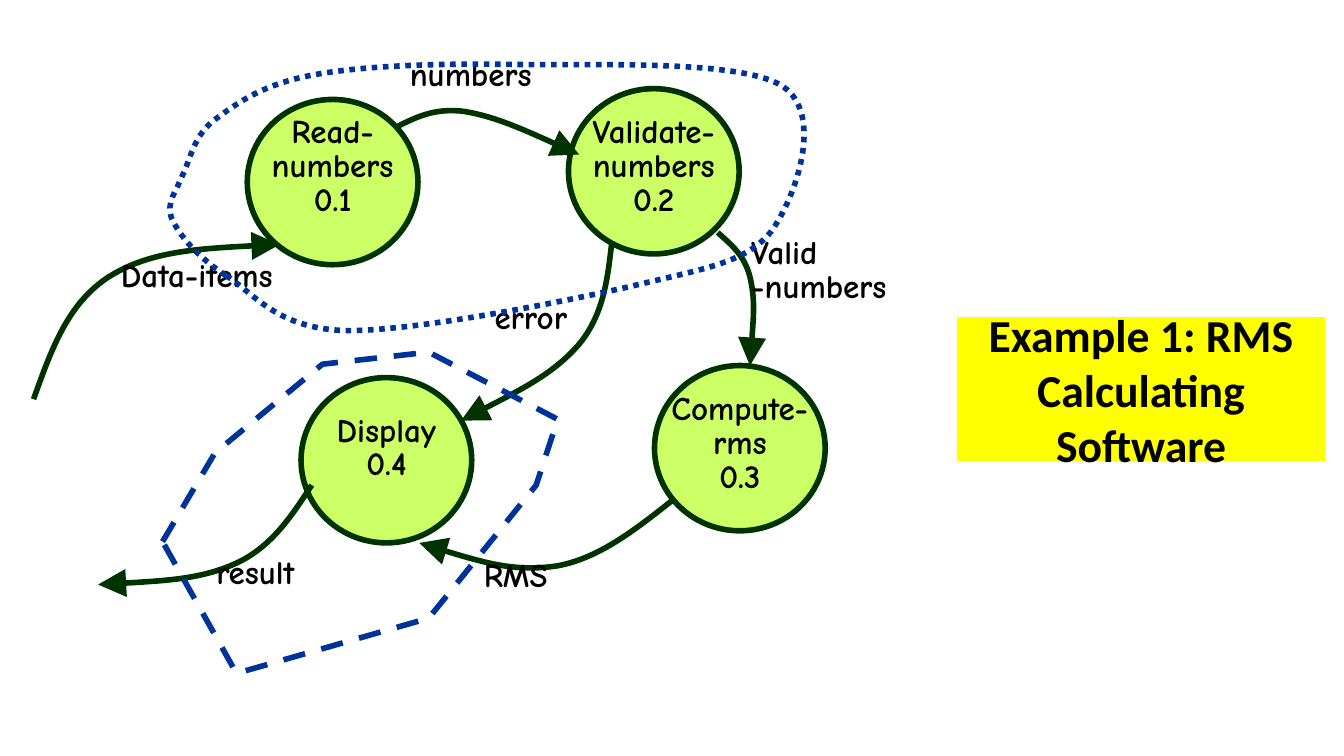
from dataclasses import dataclass

from lxml import etree
from pptx import Presentation
from pptx import util as u
from pptx.dml.color import RGBColor
from pptx.enum import dml, shapes, text
from pptx.oxml import ns

LIME = RGBColor(0xCC, 0xFF, 0x66)
DARK_GREEN = RGBColor(0x00, 0x33, 0x00)
BLUE = RGBColor(0x00, 0x33, 0x99)
YELLOW = RGBColor(0xFF, 0xFF, 0x00)
BLACK = RGBColor(0x00, 0x00, 0x00)

LABEL_FONT = "Comic Neue"
TITLE_FONT = "Calibri"
CIRCLE_WIDTH, CIRCLE_HEIGHT = 1.27, 1.23
LINE_WIDTH = u.Pt(3)

Point = tuple[float, float]


@dataclass
class Process:
    caption: str
    left: float
    top: float
    caption_top: float
    caption_height: float


@dataclass
class Label:
    caption: str
    left: float
    top: float
    width: float = CIRCLE_WIDTH
    height: float = 0.43


PROCESSES = [
    Process("Read-numbers\v0.1", 1.84, 0.74, 0.83, 1.09),
    Process("Display\v0.4", 2.24, 2.81, 3.05, 0.76),
    Process("Validate-numbers\v0.2", 4.23, 0.66, 0.83, 1.38),
    Process("Compute-rms\v0.3", 4.87, 2.72, 2.89, 1.09),
]

LABELS = [
    Label("Data-items", 0.89, 1.9, height=0.76),
    Label("numbers", 3.04, 0.4),
    Label("Valid -numbers", 5.58, 1.73, height=1.06),
    Label("error", 3.67, 2.21),
    Label("RMS", 3.59, 4.13, width=0.95),
    Label("result", 1.6, 4.11, width=0.95),
]

# Each flow is a start point followed by Bézier triples
FLOWS: dict[str, list[Point]] = {
    "data-items": [(0.25, 2.97), (0.38, 2.61), (0.5, 2.26), (0.81, 2.06),
                   (1.11, 1.87), (1.59, 1.84), (2.08, 1.82)],
    "numbers": [(2.96, 0.94), (3.1, 0.87), (3.24, 0.8), (3.46, 0.83),
                (3.69, 0.87), (4, 1.01), (4.31, 1.15)],
    "valid-numbers": [(5.34, 1.73), (5.44, 1.82), (5.54, 1.9), (5.58, 2.06),
                      (5.62, 2.23), (5.6, 2.47), (5.58, 2.72)],
    "rms": [(5.02, 3.71), (4.74, 3.93), (4.47, 4.15), (4.15, 4.21),
            (3.83, 4.26), (3.47, 4.15), (3.12, 4.04)],
    "result": [(2.32, 3.61), (2.17, 3.84), (2.02, 4.07), (1.76, 4.19),
               (1.5, 4.31), (1.11, 4.33), (0.73, 4.35)],
    "error": [(4.55, 1.82), (4.52, 2.08), (4.49, 2.34), (4.31, 2.56),
              (4.12, 2.78), (3.78, 2.95), (3.43, 3.13)],
}

INPUT_BOUNDARY: list[Point] = [
    (1.68, 2.05),
    (1.47, 1.91), (1.34, 1.76), (1.28, 1.63),
    (1.23, 1.51), (1.31, 1.43), (1.36, 1.3),
    (1.42, 1.18), (1.44, 1.01), (1.6, 0.89),
    (1.76, 0.77), (1.95, 0.63), (2.32, 0.56),
    (2.69, 0.49), (3.25, 0.47), (3.83, 0.48),
    (4.41, 0.49), (5.5, 0.44), (5.82, 0.64),
    (6.14, 0.85), (5.92, 1.47), (5.74, 1.72),
    (5.55, 1.96), (5.23, 2), (4.7, 2.13),
    (4.17, 2.25), (3.06, 2.47), (2.56, 2.46),
    (2.05, 2.44), (1.89, 2.18), (1.68, 2.05),
]
OUTPUT_BOUNDARY: list[Point] = [
    (1.21, 4.03), (1.6, 3.37), (2.4, 2.71), (3.19, 2.62), (4.15, 3.12),
    (3.99, 3.61), (3.19, 4.6), (1.76, 5.01), (1.21, 4.03),
]


def set_insets(frame) -> None:
    frame.margin_left = frame.margin_right = u.Inches(0.01)
    frame.margin_top = frame.margin_bottom = u.Inches(0.04)
    frame.word_wrap = True


def style_font(font, name: str, size: float) -> None:
    font.name = name
    font.size = u.Pt(size)
    font.bold = True
    font.color.rgb = BLACK


def add_title(slide, caption: str) -> None:
    title = slide.shapes.title
    title.left, title.top = u.Inches(7.12), u.Inches(2.36)
    title.width, title.height = u.Inches(2.74), u.Inches(1.07)
    title.fill.solid()
    title.fill.fore_color.rgb = YELLOW
    frame = title.text_frame
    frame.text = caption
    frame.auto_size = text.MSO_AUTO_SIZE.NONE
    frame.vertical_anchor = text.MSO_ANCHOR.MIDDLE
    set_insets(frame)
    paragraph = frame.paragraphs[0]
    paragraph.alignment = text.PP_ALIGN.CENTER
    paragraph.space_before = u.Pt(6.8)
    style_font(paragraph.font, TITLE_FONT, 24.5)


def add_circle(slide, process: Process) -> None:
    circle = slide.shapes.add_shape(
        shapes.MSO_SHAPE.OVAL, u.Inches(process.left), u.Inches(process.top),
        u.Inches(CIRCLE_WIDTH), u.Inches(CIRCLE_HEIGHT))
    circle.shadow.inherit = False
    circle.fill.solid()
    circle.fill.fore_color.rgb = LIME
    circle.line.color.rgb = DARK_GREEN
    circle.line.width = LINE_WIDTH


def add_label(slide, label: Label, alignment=text.PP_ALIGN.LEFT) -> None:
    box = slide.shapes.add_textbox(
        u.Inches(label.left), u.Inches(label.top),
        u.Inches(label.width), u.Inches(label.height))
    set_insets(box.text_frame)
    box.text_frame.text = label.caption
    paragraph = box.text_frame.paragraphs[0]
    paragraph.alignment = alignment
    paragraph.line_spacing = 0.85
    paragraph.space_before = u.Pt(8.6)
    style_font(paragraph.font, LABEL_FONT, 17.7)


def add_outline(slide, points: list[Point], color: RGBColor):
    start, *rest = [(u.Inches(x), u.Inches(y)) for x, y in points]
    builder = slide.shapes.build_freeform(*start)
    builder.add_line_segments(rest, close=False)
    outline = builder.convert_to_shape()
    outline.shadow.inherit = False
    outline.fill.background()
    outline.line.color.rgb = color
    outline.line.width = LINE_WIDTH
    return outline


def add_curve(slide, points: list[Point], color: RGBColor):
    """Draw a curve by merging every three segments into one Bézier."""
    curve = add_outline(slide, points, color)
    segments = list(curve.element.iter(ns.qn("a:lnTo")))
    for index in range(0, len(segments), 3):
        bezier = etree.Element(ns.qn("a:cubicBezTo"))
        segments[index].addprevious(bezier)
        for segment in segments[index:index + 3]:
            bezier.append(segment[0])
            segment.getparent().remove(segment)
    return curve


def add_flow(slide, points: list[Point]) -> None:
    flow = add_curve(slide, points, DARK_GREEN)
    line = flow.element.spPr.find(ns.qn("a:ln"))
    etree.SubElement(line, ns.qn("a:tailEnd"), type="triangle", w="lg", len="lg")


def main() -> None:
    presentation = Presentation()
    presentation.slide_width = u.Inches(10)
    presentation.slide_height = presentation.slide_width * 9 // 16
    slide = presentation.slides.add_slide(presentation.slide_layouts[5])
    add_title(slide, "Example 1: RMS Calculating Software")

    # Processes and data flows
    for process in PROCESSES:
        add_circle(slide, process)
    for points in FLOWS.values():
        add_flow(slide, points)

    # Captions
    for process in PROCESSES:
        caption = Label(process.caption, process.left, process.caption_top,
                        height=process.caption_height)
        add_label(slide, caption, text.PP_ALIGN.CENTER)
    for label in LABELS:
        add_label(slide, label)

    # Boundaries around the input and output parts
    input_part = add_curve(slide, INPUT_BOUNDARY, BLUE)
    input_part.line.dash_style = dml.MSO_LINE.ROUND_DOT
    output_part = add_outline(slide, OUTPUT_BOUNDARY, BLUE)
    output_part.line.dash_style = dml.MSO_LINE.DASH

    presentation.save("out.pptx")


if __name__ == "__main__":
    main()
